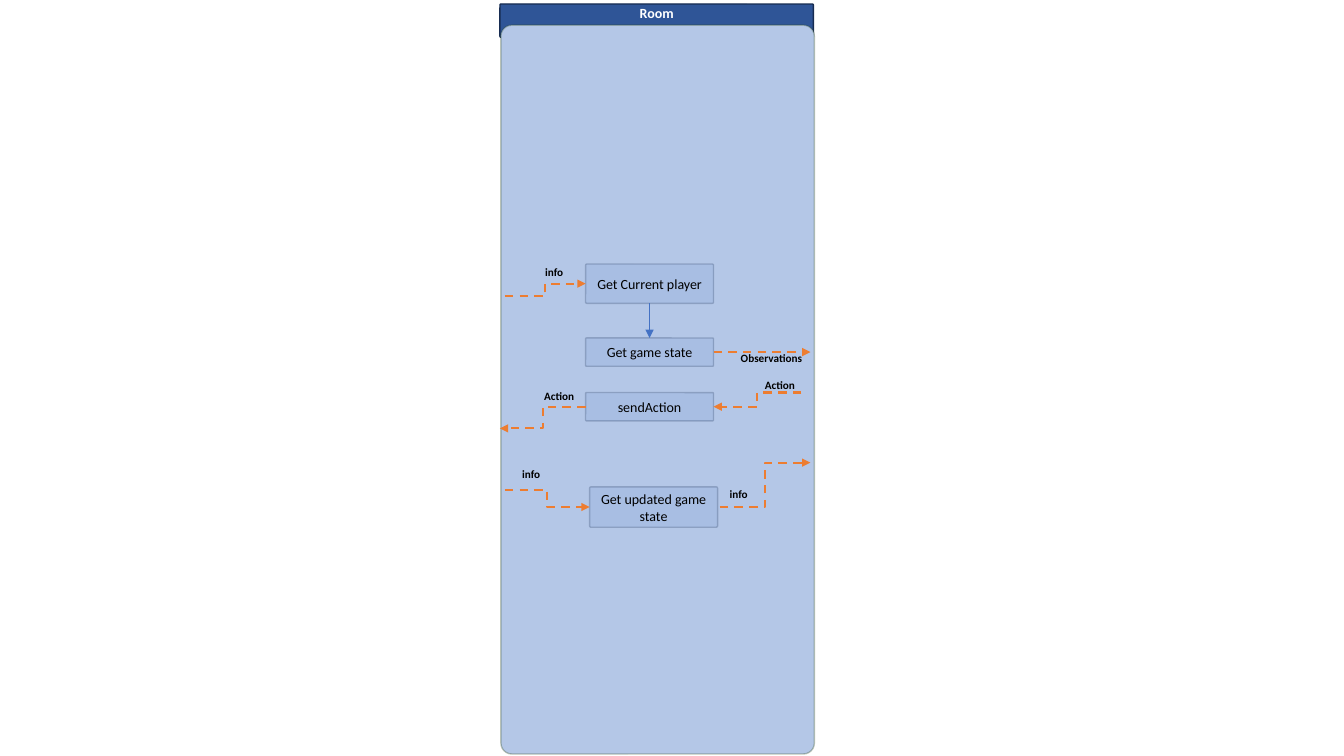
from lxml import etree
from pptx import Presentation
from pptx.dml.color import RGBColor
from pptx.enum.dml import MSO_LINE
from pptx.enum.shapes import MSO_CONNECTOR, MSO_SHAPE
from pptx.enum.text import MSO_ANCHOR, PP_ALIGN
from pptx.oxml.ns import qn
from pptx.util import Pt

ROUND = MSO_SHAPE.ROUNDED_RECTANGLE
ELBOW, LINE = MSO_CONNECTOR.ELBOW, MSO_CONNECTOR.STRAIGHT
DASH = MSO_LINE.DASH
CENTER, LEFT = PP_ALIGN.CENTER, PP_ALIGN.LEFT
TOP, MIDDLE = MSO_ANCHOR.TOP, MSO_ANCHOR.MIDDLE
NORTH, WEST, SOUTH, EAST = range(4)

NAVY = RGBColor(0x2F, 0x55, 0x97)
DARK = RGBColor(0x17, 0x2C, 0x51)
PALE = RGBColor(0xB4, 0xC7, 0xE7)
GREEN = RGBColor(0x2B, 0x47, 0x19)
BLUE = RGBColor(0x44, 0x72, 0xC4)
ORANGE = RGBColor(0xED, 0x7D, 0x31)
BLACK = RGBColor(0, 0, 0)
WHITE = RGBColor(0xFF, 0xFF, 0xFF)


def fade(color, share):
    """Set the opacity of a colour element, in percent."""
    etree.SubElement(color, qn("a:alpha"), val=str(share * 1000))


class Board:
    font = "Calibri"

    def __init__(self, slide):
        self.shapes = slide.shapes

    def add_text(self, shape, text, size, color, bold=False, align=CENTER):
        para = shape.text_frame.paragraphs[0]
        para.alignment = align
        run = para.add_run()
        run.text = text
        run.font.name = self.font
        run.font.size = Pt(size)
        run.font.bold = bold
        run.font.color.rgb = color

    def panel(self, x, y, w, h, fill, edge, bend=0.033, solid=100, rim=100):
        """Draw a rounded panel; solid and rim are opacities of fill and edge."""
        shape = self.shapes.add_shape(ROUND, Pt(x), Pt(y), Pt(w), Pt(h))
        shape.adjustments[0] = bend
        shape.shadow.inherit = False
        shape.fill.solid()
        shape.fill.fore_color.rgb = fill
        shape.line.color.rgb = edge
        shape.line.width = Pt(1)
        tones = shape._element.spPr.iter(qn("a:srgbClr"))
        for tone, share in zip(list(tones), (solid, rim)):
            if share < 100:
                fade(tone, share)
        return shape

    def step(self, text, x, y, h):
        shape = self.panel(x, y, 91.4, h, BLUE, DARK, solid=10, rim=23)
        shape.text_frame.word_wrap = True
        shape.text_frame.vertical_anchor = MIDDLE
        self.add_text(shape, text, 10, BLACK)
        return shape

    def label(self, text, x, y, w):
        box = self.shapes.add_textbox(Pt(x), Pt(y), Pt(w), Pt(17))
        box.text_frame.word_wrap = False
        self.add_text(box, text, 8, BLACK, True, LEFT)

    def arrow(self, kind, start, end, color=ORANGE, width=1.5, dash=DASH):
        """Link two ends, each a point (x, y) or a pair (shape, side)."""
        link = self.shapes.add_connector(kind, 0, 0, 0, 0)
        if isinstance(start[0], (int, float)):
            link.begin_x, link.begin_y = map(Pt, start)
        else:
            link.begin_connect(*start)
        if isinstance(end[0], (int, float)):
            link.end_x, link.end_y = map(Pt, end)
        else:
            link.end_connect(*end)
        link.line.color.rgb = color
        link.line.width = Pt(width)
        if dash:
            link.line.dash_style = dash
        props = link._element.spPr
        etree.SubElement(props.find(qn("a:ln")), qn("a:tailEnd"), type="triangle")
        etree.SubElement(props, qn("a:effectLst"))


def main():
    deck = Presentation()
    deck.slide_width, deck.slide_height = Pt(960), Pt(540)
    board = Board(deck.slides.add_slide(deck.slide_layouts[6]))

    head = board.panel(357.1, 2.9, 223.9, 23.8, NAVY, DARK)
    head.text_frame.vertical_anchor = TOP
    head.text_frame.margin_top = 0
    board.add_text(head, "Room", 10, WHITE, True)
    board.panel(357.8, 18, 223.9, 520.6, PALE, GREEN, bend=0.035, rim=30)

    state = board.step("Get game state", 418.3, 241.4, 20.2)
    send = board.step("sendAction", 418.3, 280.4, 20.2)
    update = board.step("Get updated game state", 421.2, 347.8, 28.8)
    player = board.step("Get Current player", 418.3, 188.6, 28.1)

    board.arrow(LINE, (player, SOUTH), (state, NORTH), BLUE, 0.5, None)
    board.arrow(LINE, (state, EAST), (578.9, 251.5))
    board.arrow(ELBOW, (514.1, 362.2), (578.9, 330.5))
    board.arrow(ELBOW, (360.7, 349.9), (update, WEST))
    board.arrow(ELBOW, (360.7, 211.7), (player, WEST))
    board.arrow(ELBOW, (send, WEST), (357.1, 306))
    board.arrow(ELBOW, (572.4, 280.4), (send, EAST))

    for text, x, y, w in (
        ("info", 382.3, 185.8, 27.4),
        ("Action", 381.6, 274.3, 36),
        ("Observations", 522, 247.7, 59),
        ("Action", 539.3, 266.4, 36),
        ("info", 365.8, 330.5, 27.4),
        ("info", 514.1, 344.9, 27.4),
    ):
        board.label(text, x, y, w)

    deck.save("out.pptx")


if __name__ == "__main__":
    main()
